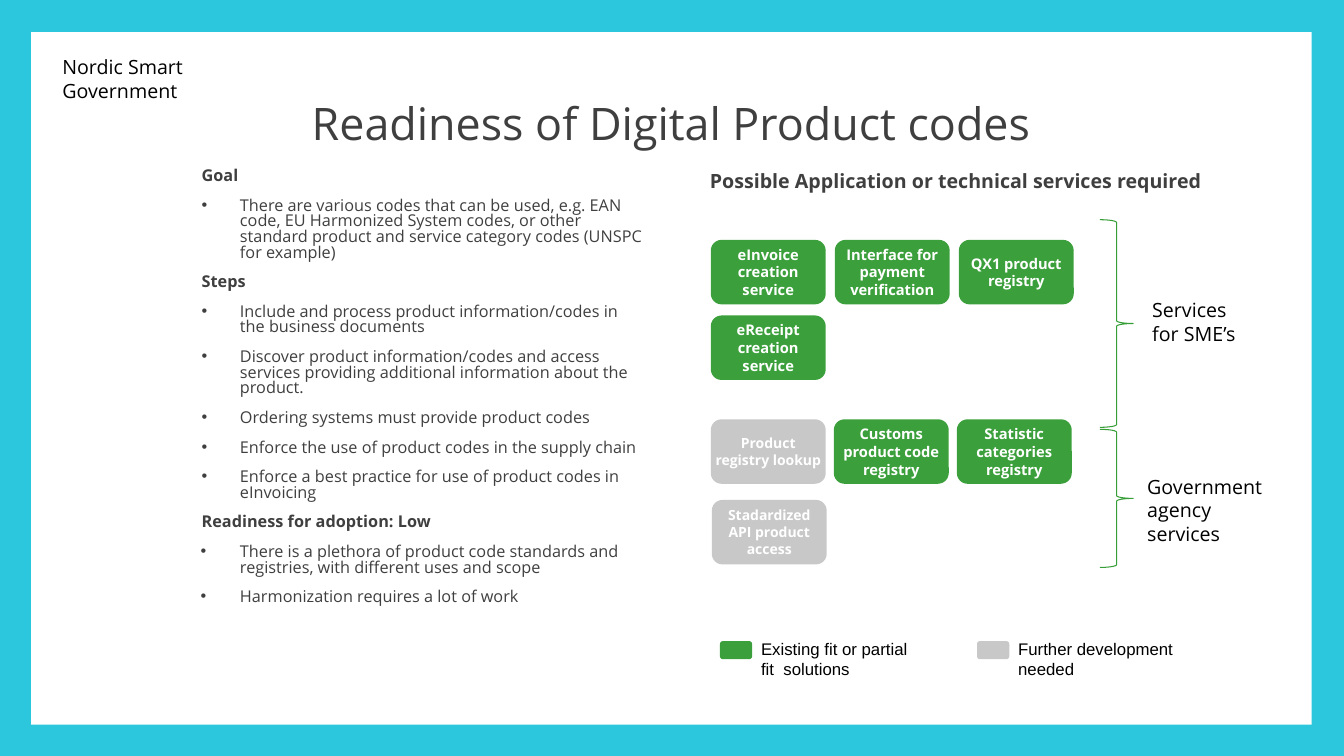
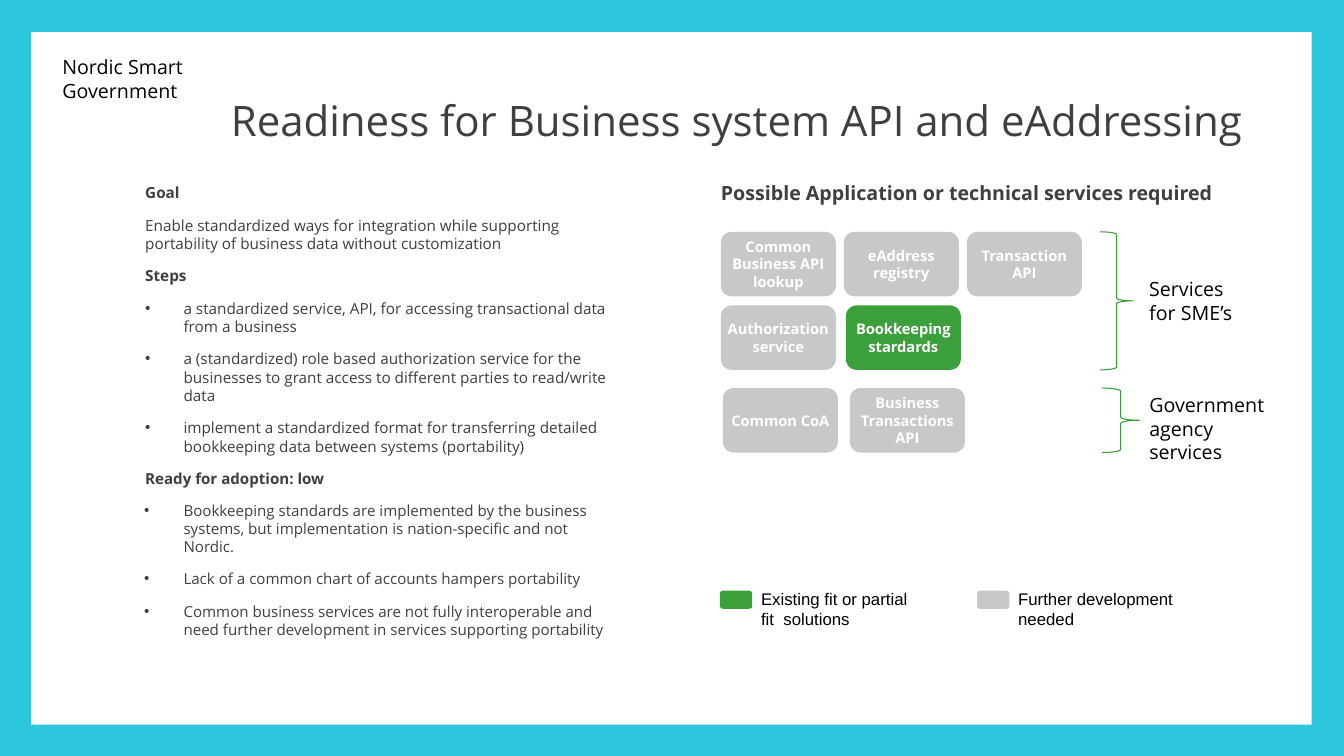
"""Builds two readiness slides: goals and steps beside the services they require."""
from dataclasses import dataclass

from lxml import etree
from pptx import Presentation
from pptx.dml.color import RGBColor
from pptx.enum.shapes import MSO_SHAPE
from pptx.enum.text import MSO_ANCHOR, MSO_AUTO_SIZE, PP_ALIGN
from pptx.oxml.ns import qn
from pptx.util import Inches, Pt

RECTANGLE = MSO_SHAPE.RECTANGLE
ROUNDED = MSO_SHAPE.ROUNDED_RECTANGLE
BRACE = MSO_SHAPE.RIGHT_BRACE
MIDDLE, BOTTOM = MSO_ANCHOR.MIDDLE, MSO_ANCHOR.BOTTOM
CENTER = PP_ALIGN.CENTER
NO_AUTOFIT = MSO_AUTO_SIZE.NONE

FRAME = RGBColor(0x2C, 0xC7, 0xDC)
WHITE = RGBColor(0xFF, 0xFF, 0xFF)
BLACK = RGBColor(0x00, 0x00, 0x00)
DARK = RGBColor(0x3F, 0x3F, 0x3F)
GREEN = RGBColor(0x3B, 0xA0, 0x3B)
BRACE_GREEN = RGBColor(0x36, 0x9E, 0x36)
GRAY = RGBColor(0xC8, 0xC8, 0xC8)

FONT = "Open Sans"
LEGEND_FONT = "Arial"
TWO_CONTENT_LAYOUT = 3
HEADING_INDENT = (0.12, 0)
STEP_INDENT = (0.5, -0.38)
FINDING_INDENT = (0.5, -0.39)
CARD_WIDTH, CARD_HEIGHT = 1.14, 0.64


@dataclass
class Card:
    """A service and its state of development."""
    text: str
    fill: RGBColor
    size: float = 10.5


@dataclass
class Line:
    """A paragraph of the left column."""
    text: str
    indent: tuple
    size: float
    bold: bool = False


def section(heading, texts, indent, size):
    """Return a bold heading line followed by its text lines."""
    return [Line(heading, HEADING_INDENT, size, True),
            *(Line(text, indent, size) for text in texts)]


def place(shape, box):
    """Move and size a shape to left, top, width and height in inches."""
    shape.left, shape.top, shape.width, shape.height = map(Inches, box)


def add_run(paragraph, text, size, color, bold=False, font=FONT):
    """Add one formatted run."""
    run = paragraph.add_run()
    run.text = text
    run.font.name, run.font.size, run.font.bold = font, Pt(size), bold
    run.font.color.rgb = color


def add_shape(slide, kind, box, fill=None, line=None):
    """Add a flat preset shape with an optional fill and outline."""
    shape = slide.shapes.add_shape(kind, *map(Inches, box))
    shape.shadow.inherit = False
    if fill is None:
        shape.fill.background()
    else:
        shape.fill.solid()
        shape.fill.fore_color.rgb = fill
    if line is None:
        shape.line.fill.background()
    else:
        shape.line.color.rgb = line
        shape.line.width = Pt(0.75)
    return shape


def add_label(slide, text, box, size=14, font=FONT):
    """Add a wrapping black text box, with a line break at each newline."""
    label = slide.shapes.add_textbox(*map(Inches, box))
    label.text_frame.word_wrap = True
    paragraph = label.text_frame.paragraphs[0]
    for index, part in enumerate(text.split("\n")):
        if index:
            paragraph.add_line_break()
        add_run(paragraph, part, size, BLACK, font=font)
    return label


def style_master(master, slide):
    """Give the master its frame, white panel and programme name."""
    master.background.fill.solid()
    master.background.fill.fore_color.rgb = FRAME
    panel = add_shape(slide, RECTANGLE, (0.31, 0.32, 12.7, 6.87), WHITE)
    name = add_label(slide, "Nordic Smart\nGovernment", (0.52, 0.5, 1.5, 0.57))
    for position, shape in enumerate((panel, name), start=2):
        master.shapes.element.insert(position, shape.element)


def set_title(slide, text, box, size):
    """Fill the title placeholder."""
    title = slide.shapes.title
    place(title, box)
    frame = title.text_frame
    frame.auto_size, frame.vertical_anchor = NO_AUTOFIT, BOTTOM
    paragraph = frame.paragraphs[0]
    paragraph.alignment = CENTER
    add_run(paragraph, text, size, DARK)


def fill_body(slide, index, box, lines, spacing=1.0):
    """Fill a body placeholder with headings and bulleted lines."""
    body = slide.placeholders[index]
    place(body, box)
    frame = body.text_frame
    frame.auto_size = NO_AUTOFIT
    for number, line in enumerate(lines):
        paragraph = frame.add_paragraph() if number else frame.paragraphs[0]
        paragraph.line_spacing, paragraph.space_before = spacing, Pt(10)
        add_run(paragraph, line.text, line.size, DARK, line.bold)
        margin, hanging = line.indent
        properties = paragraph._p.get_or_add_pPr()
        properties.set("marL", str(Inches(margin)))
        properties.set("indent", str(Inches(hanging)))
        if not hanging:
            etree.SubElement(properties, qn("a:buNone"))


def add_card_row(slide, left, top, step, cards):
    """Add service cards at equal steps from the left."""
    for column, card in enumerate(cards):
        box = (left + column * step, top, CARD_WIDTH, CARD_HEIGHT)
        frame = add_shape(slide, ROUNDED, box, card.fill).text_frame
        frame.margin_left = frame.margin_right = 0
        frame.margin_top = frame.margin_bottom = 0
        frame.word_wrap, frame.vertical_anchor = True, MIDDLE
        paragraph = frame.paragraphs[0]
        paragraph.alignment = CENTER
        add_run(paragraph, card.text, card.size, WHITE, True)


def add_group(slide, text, brace_box, label_box):
    """Add a right brace and the name of the group it spans."""
    add_shape(slide, BRACE, brace_box, line=BRACE_GREEN)
    add_label(slide, text, label_box)


def add_legend(slide, top):
    """Add the two colour keys."""
    keys = ((7.14, GREEN, "Existing fit or partial fit  solutions"),
            (9.69, GRAY, "Further development needed"))
    for left, fill, text in keys:
        add_shape(slide, ROUNDED, (left, top + 0.07, 0.32, 0.18), fill)
        add_label(slide, text, (left + 0.31, top, 1.8, 0.34), 12, LEGEND_FONT)


def add_services_heading(slide, box):
    """Fill the right placeholder with the heading of the services."""
    heading = "Possible Application or technical services required"
    fill_body(slide, 2, box, [Line(heading, HEADING_INDENT, 14, True)])


def build_product_codes(slide):
    """Build the slide on digital product codes."""
    set_title(slide, "Readiness of Digital Product codes", (1.78, 0.51, 9.76, 1.02), 32)
    lines = section("Goal", [
        "There are various codes that can be used, e.g. EAN code, EU Harmonized System "
        "codes, or other standard product and service category codes (UNSPC for example)",
    ], STEP_INDENT, 11.6)
    lines += section("Steps", [
        "Include and process product information/codes in the business documents",
        "Discover product information/codes and access services providing additional "
        "information about the product.",
        "Ordering systems must provide product codes",
        "Enforce the use of product codes in the supply chain",
        "Enforce a best practice for use of product codes in eInvoicing",
    ], STEP_INDENT, 11.6)
    lines += section("Readiness for adoption: Low", [
        "There is a plethora of product code standards and registries, with different "
        "uses and scope",
        "Harmonization requires a lot of work",
    ], FINDING_INDENT, 11.6)
    fill_body(slide, 1, (1.78, 1.63, 4.73, 4.89), lines, 0.8)
    add_services_heading(slide, (6.82, 1.63, 5.35, 4.42))
    add_card_row(slide, 7.05, 2.38, 1.23, [
        Card("eInvoice creation service", GREEN),
        Card("Interface for payment verification", GREEN),
        Card("QX1 product registry", GREEN)])
    add_card_row(slide, 7.05, 3.13, 1.23, [Card("eReceipt creation service", GREEN)])
    add_card_row(slide, 7.05, 4.16, 1.22, [
        Card("Product registry lookup", GRAY, 10),
        Card("Customs product code registry", GREEN),
        Card("Statistic categories registry", GREEN)])
    add_card_row(slide, 7.06, 4.96, 1.22, [Card("Stadardized API product access", GRAY, 10)])
    add_group(slide, "Services for SME’s",
              (10.91, 2.18, 0.33, 2.06), (11.33, 2.91, 1.23, 0.57))
    add_group(slide, "Government agency services",
              (10.91, 4.26, 0.33, 1.37), (11.28, 4.66, 1.46, 0.81))
    add_legend(slide, 6.29)


def build_business_system(slide):
    """Build the slide on the business system API and eAddressing."""
    set_title(slide, "Readiness for Business system API and eAddressing",
              (2.05, 0.53, 10.52, 0.96), 30)
    lines = section("Goal", [
        "Enable standardized ways for integration while supporting portability of "
        "business data without customization",
    ], HEADING_INDENT, 10.9)
    lines += section("Steps", [
        "a standardized service, API, for accessing transactional data from a business",
        "a (standardized) role based authorization service for the businesses to grant "
        "access to different parties to read/write data",
        "implement a standardized format for transferring detailed bookkeeping data "
        "between systems (portability)",
    ], STEP_INDENT, 10.9)
    lines += section("Ready for adoption: low", [
        "Bookkeeping standards are implemented by the business systems, but "
        "implementation is nation-specific and not Nordic.",
        "Lack of a common chart of accounts hampers portability",
        "Common business services are not fully interoperable and need further "
        "development in services supporting portability",
    ], FINDING_INDENT, 10.8)
    fill_body(slide, 1, (1.22, 1.77, 5, 5.02), lines)
    add_services_heading(slide, (6.93, 1.74, 5.32, 4.42))
    add_card_row(slide, 7.15, 2.3, 1.22, [
        Card("Common Business API lookup", GRAY),
        Card("eAddress registry", GRAY),
        Card("Transaction API", GRAY)])
    add_card_row(slide, 7.15, 3.03, 1.24, [
        Card("Authorization service", GRAY),
        Card("Bookkeeping stardards", GREEN)])
    add_card_row(slide, 7.17, 3.85, 1.26, [
        Card("Common CoA", GRAY),
        Card("Business Transactions API", GRAY)])
    add_group(slide, "Services for SME’s",
              (10.91, 2.3, 0.33, 1.37), (11.3, 2.7, 1.23, 0.57))
    add_group(slide, "Government agency services",
              (10.93, 3.85, 0.37, 0.64), (11.3, 3.85, 1.42, 0.81))
    add_legend(slide, 5.79)


def main():
    """Build and save the presentation."""
    presentation = Presentation()
    presentation.slide_width, presentation.slide_height = Inches(13.33), Inches(7.5)
    layout = presentation.slide_layouts[TWO_CONTENT_LAYOUT]
    slides = [presentation.slides.add_slide(layout) for _ in range(2)]
    style_master(presentation.slide_master, slides[0])
    build_product_codes(slides[0])
    build_business_system(slides[1])
    presentation.save("out.pptx")


if __name__ == "__main__":
    main()
